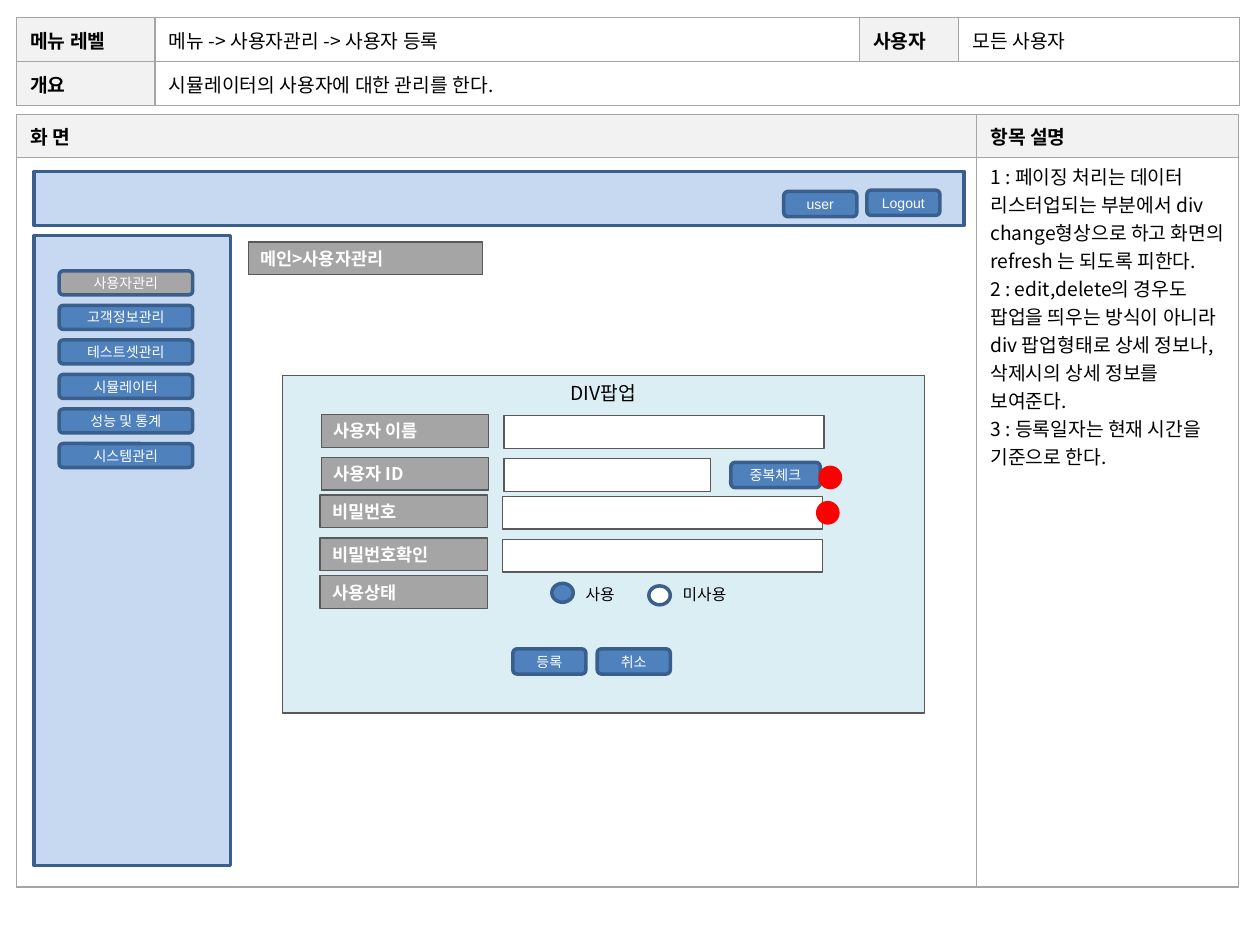
from lxml import etree
from pptx import Presentation
from pptx import util as u
from pptx.dml.color import RGBColor
from pptx.enum import shapes, text
from pptx.oxml.ns import qn

KOREAN, LATIN = "Noto Sans CJK KR", "Arial"
BLACK = RGBColor(0x00, 0x00, 0x00)
WHITE = RGBColor(0xFF, 0xFF, 0xFF)
HEADER = RGBColor(0xF2, 0xF2, 0xF2)
GRID = RGBColor(0xA5, 0xA5, 0xA5)
SELECTED = RGBColor(0xA6, 0xA6, 0xA6)
EDGE = RGBColor(0x59, 0x59, 0x59)
PANEL = RGBColor(0xC6, 0xD9, 0xF1)
POPUP = RGBColor(0xDB, 0xEE, 0xF4)
BLUE = RGBColor(0x4F, 0x81, 0xBD)
NAVY = RGBColor(0x3A, 0x5F, 0x8C)
RED = RGBColor(0xFF, 0x00, 0x00)

RECT = shapes.MSO_SHAPE.RECTANGLE
ROUND = shapes.MSO_SHAPE.ROUNDED_RECTANGLE
OVAL = shapes.MSO_SHAPE.OVAL
LEFT, CENTER = text.PP_ALIGN.LEFT, text.PP_ALIGN.CENTER
TOP, MIDDLE = text.MSO_ANCHOR.TOP, text.MSO_ANCHOR.MIDDLE


def write(frame, lines, size, font, color, bold=False, align=LEFT):
    for index, line in enumerate(lines):
        para = frame.add_paragraph() if index else frame.paragraphs[0]
        para.alignment = align
        span = para.add_run()
        span.text = line
        span.font.size = u.Pt(size)
        span.font.bold = bold
        span.font.color.rgb = color
        span.font.name = font
        east_asian = etree.Element(qn("a:ea"), typeface=KOREAN)
        span.font._element.find(qn("a:latin")).addnext(east_asian)


def add_box(page, kind, place, fill, line, weight):
    box = page.shapes.add_shape(kind, *map(u.Inches, place))
    box.shadow.inherit = False
    box.fill.solid()
    box.fill.fore_color.rgb = fill
    box.line.color.rgb = line
    box.line.width = u.Pt(weight)
    return box


def add_button(page, place, caption, fill=BLUE):
    frame = add_box(page, ROUND, place, fill, NAVY, 2).text_frame
    frame.margin_left = frame.margin_right = 0
    frame.margin_top = frame.margin_bottom = 0
    frame.vertical_anchor = MIDDLE
    write(frame, [caption], 8, LATIN, WHITE, align=CENTER)


def add_label(page, place, caption):
    frame = add_box(page, RECT, place, GRID, EDGE, 0.75).text_frame
    frame.vertical_anchor = MIDDLE
    write(frame, [caption], 10, KOREAN, WHITE, bold=True)


def add_option(page, dot, caption_place, caption, fill):
    add_box(page, OVAL, (*dot, 0.17, 0.15), fill, NAVY, 2)
    frame = page.shapes.add_textbox(*map(u.Inches, caption_place)).text_frame
    frame.word_wrap = False
    write(frame, [caption], 9, LATIN, BLACK)


def add_borders(cell):
    properties = cell._tc.get_or_add_tcPr()
    for side in ("a:lnL", "a:lnR", "a:lnT", "a:lnB"):
        line = etree.SubElement(properties, qn(side), w=str(u.Pt(0.75)))
        fill = etree.SubElement(line, qn("a:solidFill"))
        etree.SubElement(fill, qn("a:srgbClr"), val=str(GRID))


def add_grid(page, place, widths, heights):
    frame = page.shapes.add_table(len(heights), len(widths), *map(u.Inches, place))
    table = frame.table
    table.first_row = table.horz_banding = False
    for column, width in zip(table.columns, widths):
        column.width = u.Inches(width)
    for row, height in zip(table.rows, heights):
        row.height = u.Inches(height)
    for cell in table.iter_cells():
        add_borders(cell)
        cell.fill.solid()
        cell.fill.fore_color.rgb = WHITE
    return table


def fill_cell(cell, lines, header=False, anchor=MIDDLE):
    cell.margin_left = cell.margin_right = u.Inches(0.11)
    cell.margin_top = cell.margin_bottom = u.Inches(0.04)
    cell.vertical_anchor = anchor
    if header:
        cell.fill.fore_color.rgb = HEADER
    write(cell.text_frame, lines, 11, KOREAN, BLACK, bold=header)


def add_summary(page):
    table = add_grid(page, (0.13, 0.14, 9.7, 0.7), (1.1, 5.59, 0.79, 2.23), (0.35, 0.35))
    table.cell(1, 1).merge(table.cell(1, 3))
    rows = (
        ("메뉴 레벨", "메뉴 -> 사용자관리 -> 사용자 등록", "사용자", "모든 사용자"),
        ("개요", "시뮬레이터의 사용자에 대한 관리를 한다."),
    )
    for row, captions in enumerate(rows):
        for column, caption in enumerate(captions):
            fill_cell(table.cell(row, column), [caption], header=column % 2 == 0)


def add_description(page):
    table = add_grid(page, (0.13, 0.91, 9.7, 6.13), (7.62, 2.08), (0.34, 5.79))
    for column, caption in enumerate(("화 면", "항목 설명")):
        fill_cell(table.cell(0, column), [caption], header=True)
    notes = (
        "1 : 페이징 처리는 데이터 리스터업되는 부분에서 div change형상으로 하고 화면의 refresh 는 되도록 피한다.",
        "2 : edit,delete의 경우도 팝업을 띄우는 방식이 아니라 div 팝업형태로 상세 정보나,삭제시의 상세 정보를 보여준다.",
        "3 : 등록일자는 현재 시간을 기준으로 한다.",
    )
    fill_cell(table.cell(1, 1), notes, anchor=TOP)


def add_navigation(page):
    add_box(page, RECT, (0.27, 1.36, 7.38, 0.43), PANEL, NAVY, 2)
    add_box(page, RECT, (0.27, 1.87, 1.56, 5), PANEL, NAVY, 2)
    add_button(page, (6.88, 1.51, 0.58, 0.2), "Logout")
    add_button(page, (6.22, 1.52, 0.58, 0.2), "user")
    menu = ("사용자관리", "고객정보관리", "테스트셋관리", "시뮬레이터", "성능 및 통계", "시스템관리")
    for index, caption in enumerate(menu):
        fill = BLUE if index else SELECTED
        add_button(page, (0.47, 2.15 + 0.274 * index, 1.06, 0.19), caption, fill)
    add_label(page, (1.97, 1.92, 1.86, 0.26), "메인>사용자관리")


def add_popup(page):
    popup = add_box(page, RECT, (2.24, 2.98, 5.1, 2.68), POPUP, EDGE, 0.75)
    popup.text_frame.vertical_anchor = TOP
    write(popup.text_frame, ["DIV팝업"], 11, KOREAN, BLACK, align=CENTER)

    fields = (
        ("사용자 이름", 2.55, 3.29, 2.54),
        ("사용자 ID", 2.55, 3.63, 1.64),
        ("비밀번호", 2.54, 3.93, 2.54),
        ("비밀번호확인", 2.54, 4.27, 2.54),
        ("사용상태", 2.54, 4.57, None),
    )
    for caption, left, top, width in fields:
        add_label(page, (left, top, 1.33, 0.26), caption)
        if width:
            add_box(page, RECT, (left + 1.45, top + 0.01, width, 0.26), WHITE, EDGE, 0.75)

    add_button(page, (5.8, 3.67, 0.71, 0.2), "중복체크")
    add_button(page, (4.07, 5.15, 0.58, 0.2), "등록")
    add_button(page, (4.74, 5.15, 0.58, 0.2), "취소")
    add_option(page, (4.38, 4.63), (4.55, 4.59, 0.45, 0.25), "사용", BLUE)
    add_option(page, (5.15, 4.65), (5.32, 4.59, 0.58, 0.25), "미사용", WHITE)
    for left, top in ((6.51, 3.71), (6.49, 3.99)):
        add_box(page, OVAL, (left, top, 0.16, 0.16), RED, RED, 2)


def main():
    deck = Presentation()
    deck.slide_width, deck.slide_height = u.Inches(10), u.Inches(7.5)
    page = deck.slides.add_slide(deck.slide_layouts[6])
    add_summary(page)
    add_description(page)
    add_navigation(page)
    add_popup(page)
    deck.save("out.pptx")


if __name__ == "__main__":
    main()
